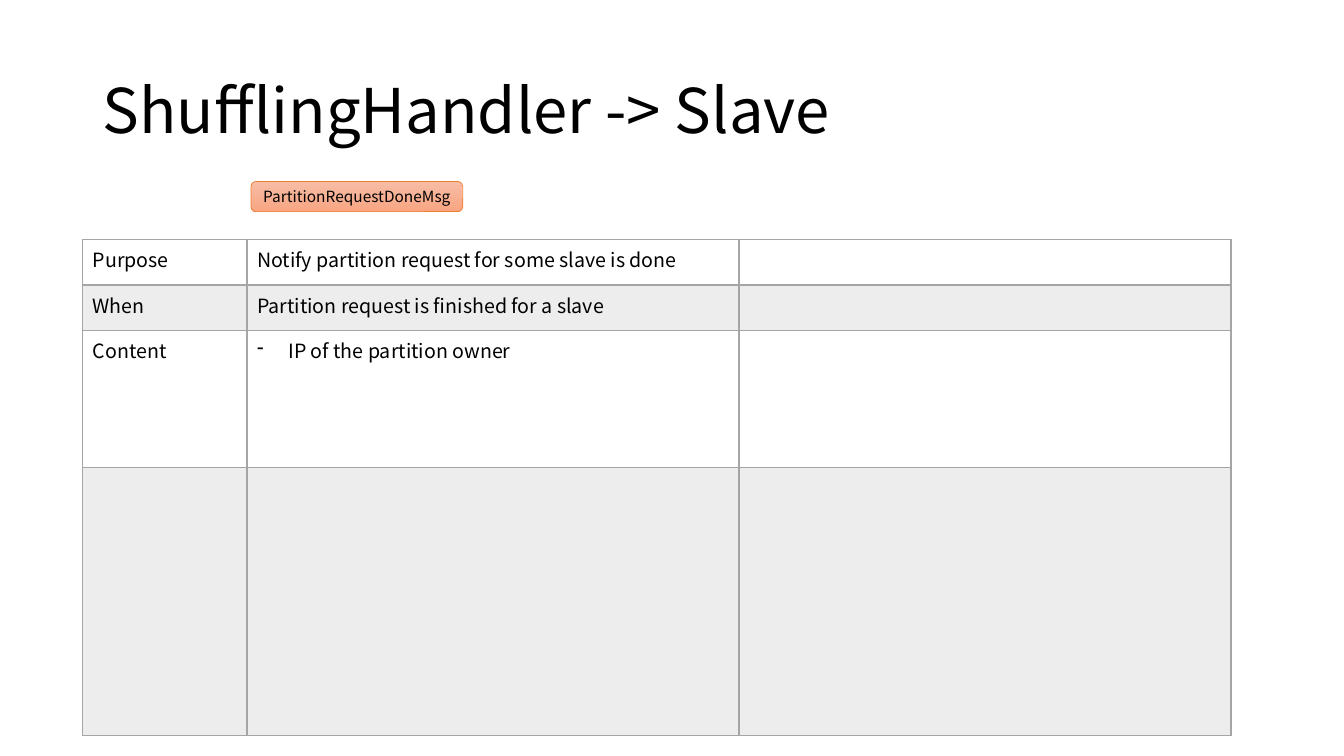
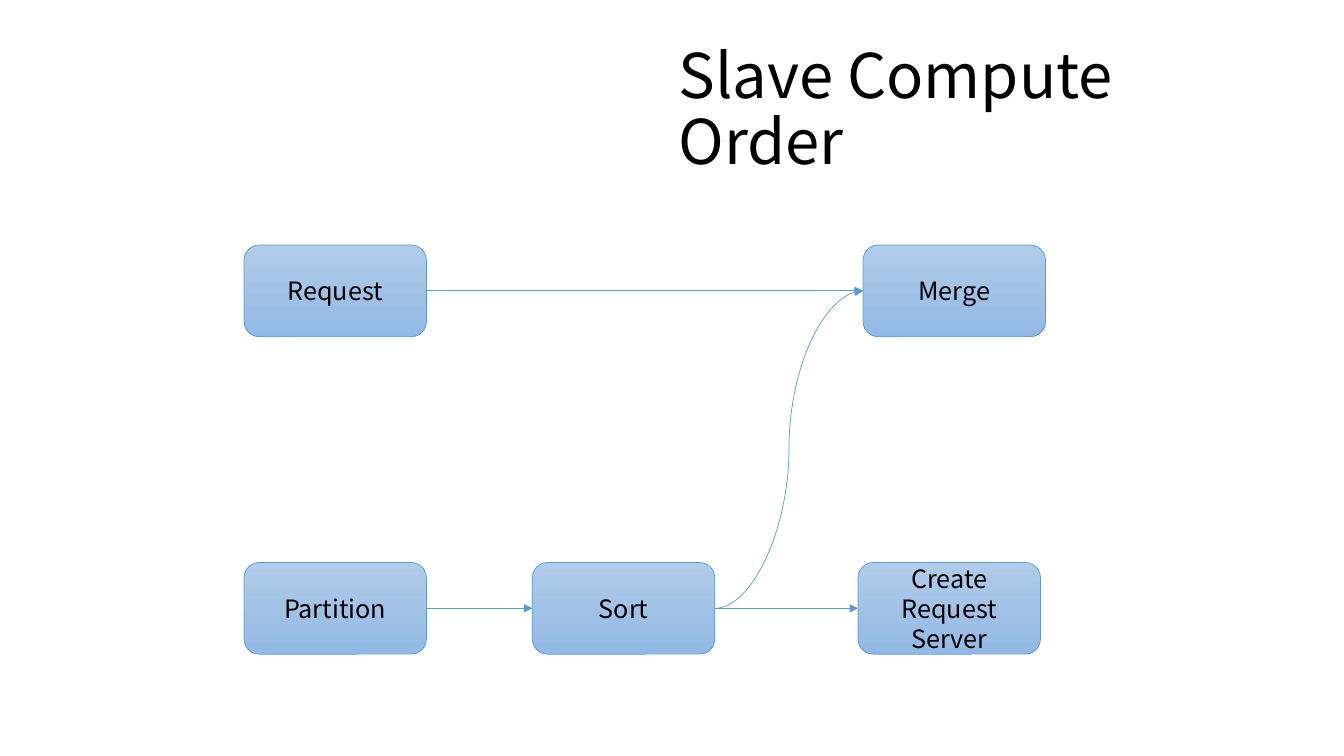
from pptx import Presentation
from pptx.dml.color import RGBColor
from pptx.enum.shapes import MSO_CONNECTOR, MSO_SHAPE
from pptx.enum.text import MSO_ANCHOR, MSO_AUTO_SIZE, PP_ALIGN
from pptx.oxml import parse_xml
from pptx.oxml.ns import nsdecls, qn
from pptx.util import Inches, Pt

FONT = "Noto Sans CJK KR"
BLACK = RGBColor(0x00, 0x00, 0x00)
GRAY = RGBColor(0xA5, 0xA5, 0xA5)
BAND = RGBColor(0xED, 0xED, 0xED)
ORANGE = RGBColor(0xED, 0x7D, 0x31)
PEACH = (RGBColor(0xF7, 0xBD, 0xA5), RGBColor(0xF8, 0xA5, 0x82))
BLUE = RGBColor(0x5B, 0x9B, 0xD5)
SKY = (RGBColor(0xB1, 0xCB, 0xE9), RGBColor(0x93, 0xB9, 0xE4))

LEFT, CENTER = PP_ALIGN.LEFT, PP_ALIGN.CENTER
MIDDLE = MSO_ANCHOR.MIDDLE
NO_FIT = MSO_AUTO_SIZE.NONE
ROUND = MSO_SHAPE.ROUNDED_RECTANGLE
STRAIGHT, CURVE = MSO_CONNECTOR.STRAIGHT, MSO_CONNECTOR.CURVE
LEFT_SIDE, RIGHT_SIDE = 1, 3
TITLE_ONLY = 5


def inches(*sizes):
    return [Inches(size) for size in sizes]


def write(frame, text, size, align):
    frame.text = text
    for par in frame.paragraphs:
        par.alignment = align
        for run in par.runs:
            run.font.name = FONT
            run.font.size = Pt(size)
            run.font.color.rgb = BLACK


def add_slide(deck, text, box):
    """Add a slide whose title fills the given box."""
    slide = deck.slides.add_slide(deck.slide_layouts[TITLE_ONLY])
    title = slide.shapes.title
    title.left, title.top, title.width, title.height = inches(*box)
    frame = title.text_frame
    write(frame, text, 44, LEFT)
    frame.auto_size = NO_FIT
    frame.vertical_anchor = MIDDLE
    frame.paragraphs[0].line_spacing = 0.9
    return slide


def add_node(slide, text, box, size, shades, edge):
    """Add a rounded box with a gradient that runs from top to bottom."""
    node = slide.shapes.add_shape(ROUND, *inches(*box))
    node.shadow.inherit = False
    node.fill.gradient()
    node.fill.gradient_angle = 270
    for stop, shade in zip(node.fill.gradient_stops, shades):
        stop.color.rgb = shade
    node.line.color.rgb = edge
    node.line.width = Pt(0.5)
    node.text_frame.vertical_anchor = MIDDLE
    write(node.text_frame, text, size, CENTER)
    return node


def add_arrow(slide, kind, start, end):
    """Join the right side of start to the left side of end."""
    arrow = slide.shapes.add_connector(kind, 0, 0, 0, 0)
    arrow.begin_connect(start, RIGHT_SIDE)
    arrow.end_connect(end, LEFT_SIDE)
    arrow.line.color.rgb = BLUE
    arrow.line.width = Pt(0.5)
    props = arrow.element.spPr
    head = parse_xml(f'<a:tailEnd {nsdecls("a")} type="triangle"/>')
    props.find(qn("a:ln")).append(head)
    props.append(parse_xml(f'<a:effectLst {nsdecls("a")}/>'))


def set_edges(cell, low):
    """Draw the cell's borders, with the bottom one low points wide."""
    props = cell._tc.get_or_add_tcPr()
    for spot, (side, width) in enumerate(zip("LRTB", (1, 1, 1, low))):
        props.insert(spot, parse_xml(
            f'<a:ln{side} {nsdecls("a")} w="{Pt(width)}"><a:solidFill>'
            f'<a:srgbClr val="{GRAY}"/></a:solidFill></a:ln{side}>'))


def set_dash(par):
    props = par._p.get_or_add_pPr()
    props.set("marL", str(Inches(0.31)))
    props.set("indent", str(-Inches(0.31)))
    props.append(parse_xml(f'<a:buChar {nsdecls("a")} char="-"/>'))


def add_grid(slide, left, top, widths, heights, rows):
    """Add a table with a gray band on every second row."""
    box = inches(left, top, sum(widths), sum(heights))
    table = slide.shapes.add_table(len(heights), len(widths), *box).table
    table.first_row = table.horz_banding = False
    for col, width in zip(table.columns, widths):
        col.width = Inches(width)
    for r, (row, height, texts) in enumerate(zip(table.rows, heights, rows)):
        row.height = Inches(height)
        for cell, text in zip(row.cells, texts):
            if r % 2:
                cell.fill.solid()
                cell.fill.fore_color.rgb = BAND
            else:
                cell.fill.background()
            set_edges(cell, 1 if r else 2)
            write(cell.text_frame, text, 14, LEFT)
    return table


def message_slide(deck):
    slide = add_slide(deck, "ShufflingHandler -> Slave", (0.92, 0.4, 11.5, 1.45))
    add_node(slide, "PartitionRequestDoneMsg", (2.49, 1.8, 2.1, 0.3), 11,
             PEACH, ORANGE)
    table = add_grid(slide, 0.82, 2.38, (1.63, 4.88, 4.88),
                     (0.45, 0.45, 1.36, 2.66), (
        ("Purpose", "Notify partition request for some slave is done", ""),
        ("When", "Partition request is finished for a slave", ""),
        ("Content", "IP of the partition owner", ""),
        ("", "", ""),
    ))
    set_dash(table.cell(2, 1).text_frame.paragraphs[0])


def order_slide(deck):
    slide = add_slide(deck, "Slave Compute Order", (6.63, 0.38, 6.22, 1.45))
    high, low = 2.43, 5.58
    spots = (
        ("Request", 2.42, high),
        ("Partition", 2.42, low),
        ("Sort", 5.28, low),
        ("Create\nRequest\nServer", 8.51, low),
        ("Merge", 8.56, high),
    )
    ask, part, sort, serve, merge = [
        add_node(slide, text, (left, top, 1.81, 0.91), 18, SKY, BLUE)
        for text, left, top in spots]
    for kind, start, end in ((STRAIGHT, part, sort), (CURVE, sort, serve),
                             (CURVE, sort, merge), (CURVE, ask, merge)):
        add_arrow(slide, kind, start, end)


def main():
    deck = Presentation()
    deck.slide_width, deck.slide_height = inches(13.33, 7.5)
    message_slide(deck)
    order_slide(deck)
    deck.save("out.pptx")


if __name__ == "__main__":
    main()
